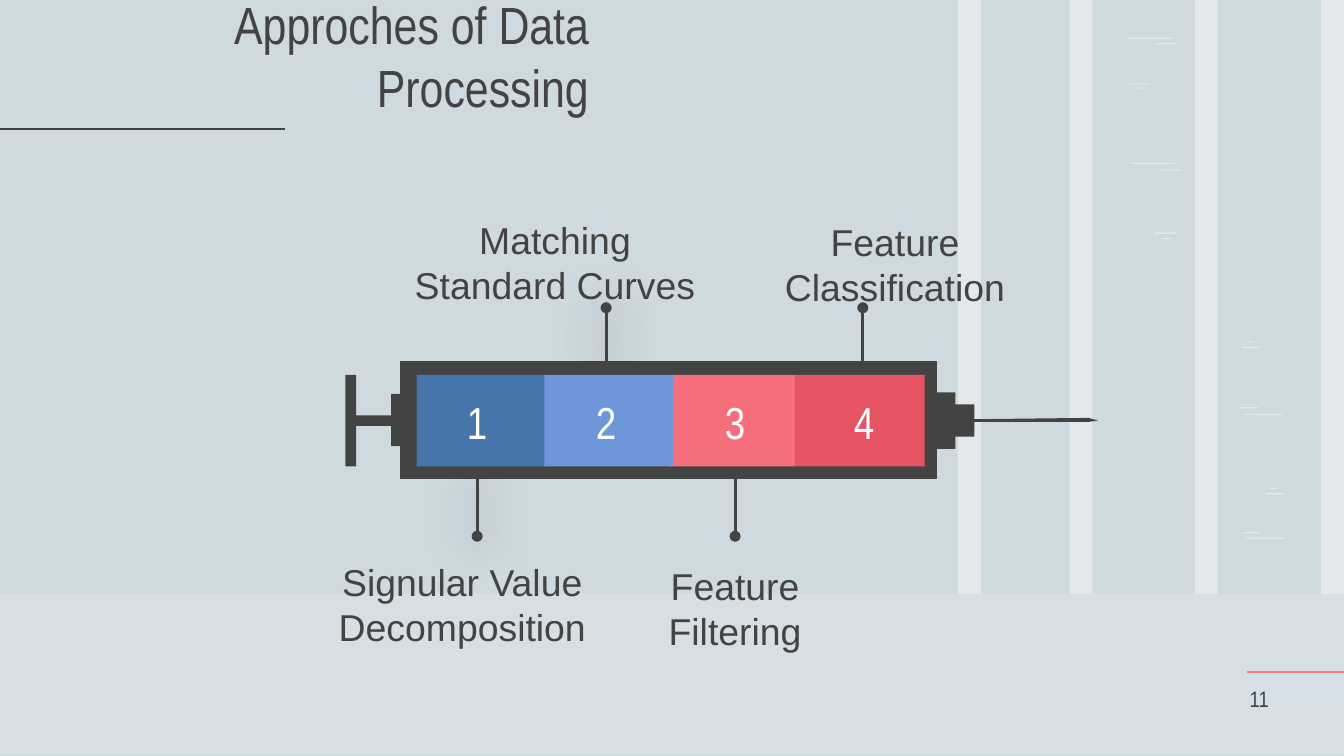
from lxml import etree
from pptx import Presentation
from pptx.dml import color
from pptx.enum import shapes, text
from pptx.oxml import ns
from pptx.util import Inches, Pt

DARK = "434343"
WHITE = "FFFFFF"
FLOOR_TOP = 4.42
TIGHT = (0, 0.01, 0, 0)
ROOMY = (0.1, 0.1, 0.1, 0.1)
STREAKS = [
    (8.39, 0.28, 0.33), (8.6, 0.32, 0.16),
    (8.4, 0.62, 0.16), (8.46, 0.65, 0.06),
    (8.41, 1.21, 0.33), (8.63, 1.26, 0.16),
    (8.59, 1.73, 0.16), (8.65, 1.77, 0.06),
    (9.28, 2.54, 0.05), (9.24, 2.58, 0.14),
    (9.22, 3.03, 0.14), (9.26, 3.08, 0.28),
    (9.45, 3.63, 0.05), (9.41, 3.67, 0.14),
    (9.24, 3.96, 0.14), (9.27, 4, 0.29),
]
SYRINGE_PARTS = [
    (6.78, 2.92, 0.33, 0.42),
    (7.06, 3.01, 0.19, 0.24),
    (2.57, 2.79, 0.08, 0.68),
    (2.63, 3.09, 0.32, 0.08),
    (2.91, 2.93, 0.07, 0.39),
]
SEGMENTS = [
    ("3", 4.98, 0.94, "F56E7C"),
    ("4", 5.92, 0.96, "E65463"),
    ("1", 3.1, 0.96, "4675AB"),
    ("2", 4.05, 0.96, "6D97D9"),
]
POINTERS = [
    (3.55, 3.36, 3.99, True),
    (5.47, 3.22, 3.99, False),
    (6.42, 3.06, 2.29, False),
    (4.51, 3.14, 2.29, True),
]
LABELS = [
    (["Matching", "Standard Curves"], 2.72, 1.61, 2.82, 0.47),
    (["Feature Classification"], 5.71, 1.62, 1.9, 0.48),
    (["Signular Value Decomposition"], 2.4, 4.15, 2.08, 0.7),
    (["Feature Filtering"], 4.76, 4.18, 1.42, 0.48),
]


def rgb(value):
    return color.RGBColor.from_string(value)


def add_child(parent, tag, **attributes):
    return etree.SubElement(parent, ns.qn(tag), attributes)


def paint(shape, fill, opacity=100):
    shape.shadow.inherit = False
    shape.fill.solid()
    shape.fill.fore_color.rgb = rgb(fill)
    shape.line.fill.background()
    if opacity < 100:
        solid = shape._element.spPr.find(ns.qn("a:solidFill"))
        add_child(solid[0], "a:alpha", val=str(opacity * 1000))


def add_block(slide, left, top, width, height, fill, opacity=100):
    shape = slide.shapes.add_shape(
        shapes.MSO_SHAPE.RECTANGLE,
        Inches(left), Inches(top), Inches(width), Inches(height))
    paint(shape, fill, opacity)
    return shape


def add_line(slide, start, end, stroke, dot=False, shadow=False):
    connector = slide.shapes.add_connector(
        shapes.MSO_CONNECTOR.STRAIGHT, *map(Inches, start + end))
    connector.line.color.rgb = rgb(stroke)
    connector.line.width = Pt(1.5)
    properties = connector._element.spPr
    if dot:
        add_child(properties.find(ns.qn("a:ln")), "a:tailEnd", type="oval")
    effects = add_child(properties, "a:effectLst")
    if shadow:
        outer = add_child(effects, "a:outerShdw", blurRad=str(Pt(28.1)),
                          dist=str(Pt(1.5)), dir="5400000", algn="bl",
                          rotWithShape="0")
        black = add_child(outer, "a:srgbClr", val="000000")
        add_child(black, "a:alpha", val="73000")


def write_text(shape, lines, size, font, fill, align, anchor, insets):
    frame = shape.text_frame
    frame.word_wrap = True
    frame.auto_size = text.MSO_AUTO_SIZE.NONE
    frame.vertical_anchor = anchor
    left, top, right, bottom = map(Inches, insets)
    frame.margin_left, frame.margin_top = left, top
    frame.margin_right, frame.margin_bottom = right, bottom
    for index, line in enumerate(lines):
        paragraph = frame.add_paragraph() if index else frame.paragraphs[0]
        paragraph.alignment = align
        run = paragraph.add_run()
        run.text = line
        run.font.size = Pt(size)
        run.font.name = font
        run.font.color.rgb = rgb(fill)


def add_text(slide, box, *style):
    write_text(slide.shapes.add_textbox(*map(Inches, box)), *style)


def add_title(slide):
    title = slide.shapes.title
    title.left, title.top = Inches(0.11), Inches(0.66)
    title.width, title.height = Inches(4.37), Inches(0.32)
    write_text(title, ["Approches of Data Processing"], 28, "Arial Narrow", DARK,
               text.PP_ALIGN.RIGHT, text.MSO_ANCHOR.BOTTOM, ROOMY)


def add_backdrop(slide):
    slide.background.fill.solid()
    slide.background.fill.fore_color.rgb = rgb("CFD9E0")
    for left in (7.13, 7.96, 8.89, 9.83):
        add_block(slide, left, 0, 0.17, FLOOR_TOP, WHITE, 40)
    for left, top, width in STREAKS:
        add_block(slide, left, top, width, 0.01, WHITE, 40)
    add_block(slide, 0, FLOOR_TOP, 10, 1.2, WHITE, 17)
    add_line(slide, (9.28, 5), (10, 5), "FF787F")
    add_line(slide, (-0.02, 0.96), (2.12, 0.96), DARK)


def add_needle(slide):
    builder = slide.shapes.build_freeform(
        Inches(8.1), Inches(3.14), scale=1.0)
    outline = [(8.17, 3.13), (8.1, 3.11), (7.23, 3.12), (7.23, 3.14)]
    builder.add_line_segments(
        [(Inches(x), Inches(y)) for x, y in outline], close=True)
    paint(builder.convert_to_shape(), DARK)


def add_syringe(slide):
    for x, start, end, shadow in POINTERS:
        add_line(slide, (x, start), (x, end), DARK, True, shadow)
    for part in SYRINGE_PARTS:
        add_block(slide, *part, DARK)
    add_needle(slide)
    barrel = add_block(slide, 2.98, 2.69, 3.99, 0.87, DARK)
    barrel.line.color.rgb = rgb(DARK)
    barrel.line.width = Pt(0.75)
    for number, left, width, fill in SEGMENTS:
        add_block(slide, left, 2.79, width, 0.68, fill)
    for index, number in enumerate(sorted(segment[0] for segment in SEGMENTS)):
        add_text(slide, (3.25 + 0.96 * index, 2.9, 0.6, 0.47), [number], 24,
                 "Arial Narrow", WHITE, text.PP_ALIGN.CENTER,
                 text.MSO_ANCHOR.MIDDLE, TIGHT)


def main():
    presentation = Presentation()
    presentation.slide_width = Inches(10)
    presentation.slide_height = presentation.slide_width * 9 // 16
    slide = presentation.slides.add_slide(presentation.slide_layouts[5])
    add_backdrop(slide)
    add_title(slide)
    for lines, *box in LABELS:
        add_text(slide, box, lines, 20, "Arial", DARK,
                 text.PP_ALIGN.CENTER, text.MSO_ANCHOR.TOP, TIGHT)
    add_text(slide, (9.2, 4.97, 0.35, 0.43), ["11"], 12, "Arial Narrow", DARK,
             text.PP_ALIGN.LEFT, text.MSO_ANCHOR.BOTTOM, ROOMY)
    add_syringe(slide)
    presentation.save("out.pptx")


if __name__ == "__main__":
    main()
